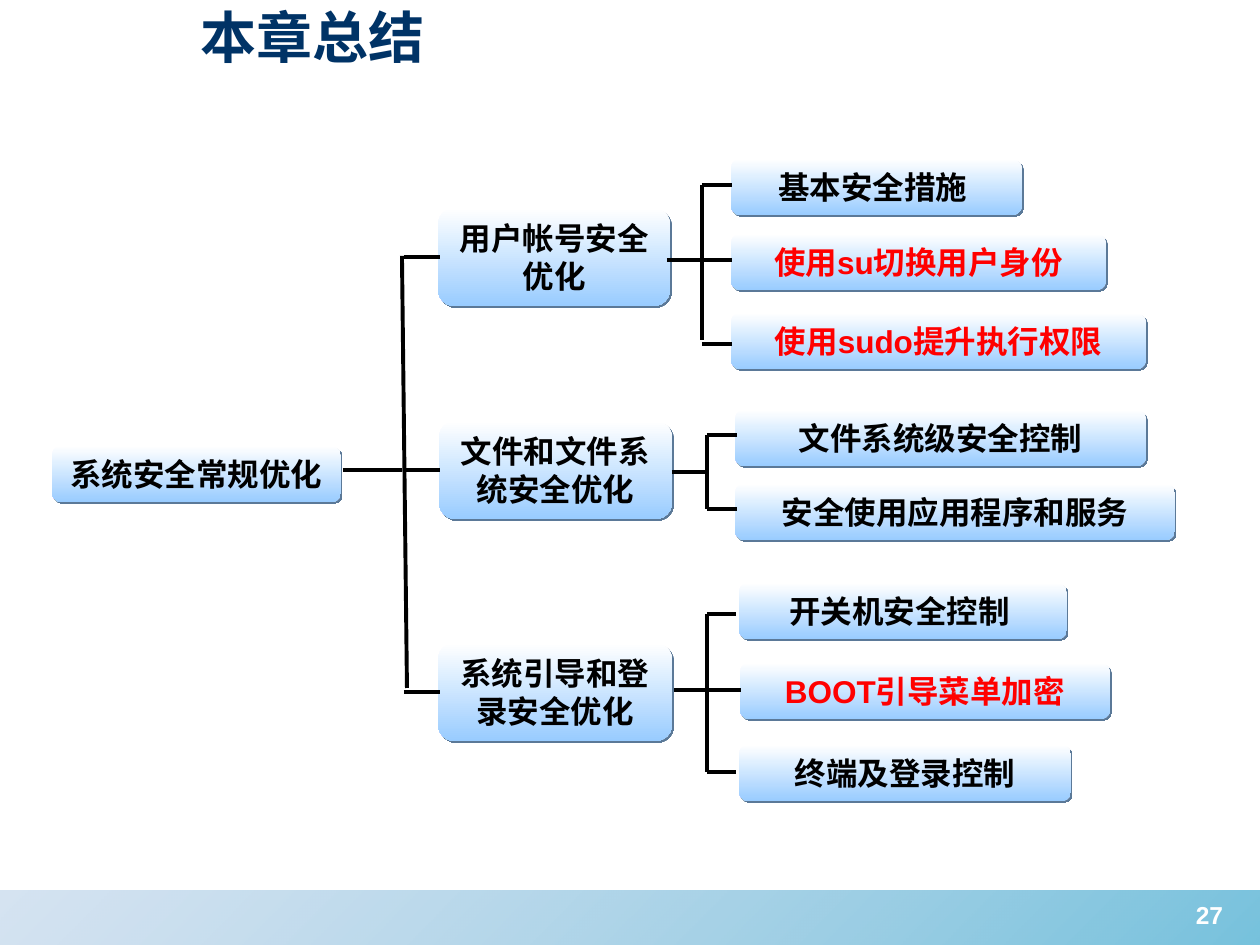
from lxml import etree
from pptx import Presentation
from pptx.dml.color import RGBColor as Rgb
from pptx.enum.shapes import MSO_CONNECTOR as Conn, MSO_SHAPE as Kind
from pptx.enum.text import MSO_ANCHOR as Anchor, PP_ALIGN as Align
from pptx.oxml import parse_xml
from pptx.oxml.ns import nsdecls, qn
from pptx.util import Emu, Pt

SCALE = 914400 / 126
WHITE = Rgb(0xFF, 0xFF, 0xFF)
BLACK = Rgb(0, 0, 0)
RED = Rgb(0xFF, 0, 0)
NAVY = Rgb(0, 0x33, 0x66)
SKY = Rgb(0x99, 0xCC, 0xFF)
SLATE = Rgb(0x5B, 0x79, 0x98)
TEAL = Rgb(0x1C, 0x99, 0xC6)
STEEL = Rgb(0x88, 0xB0, 0xD8)

LOW, TALL = 56, 98
NODES = [
    (52, 446, 289, LOW, "系统安全常规优化", BLACK),
    (438, 208, 232, TALL, "用户帐号安全优化", BLACK),
    (439, 421, 233, TALL, "文件和文件系统安全优化", BLACK),
    (438, 643, 234, TALL, "系统引导和登录安全优化", BLACK),
    (731, 159, 291, LOW, "基本安全措施 ", BLACK),
    (731, 234, 375, LOW, "使用su切换用户身份", RED),
    (731, 313, 415, LOW, "使用sudo提升执行权限", RED),
    (735, 410, 411, LOW, "文件系统级安全控制", BLACK),
    (735, 484, 440, LOW, "安全使用应用程序和服务", BLACK),
    (739, 583, 328, LOW, "开关机安全控制 ", BLACK),
    (740, 663, 370, LOW, "BOOT引导菜单加密", RED),
    (739, 745, 332, LOW, "终端及登录控制", BLACK),
]
FORKS = [
    ((343, 402, 470), (402, 256, 407, 688), (404, 440), (257, 470, 692)),
    ((667, 702, 260), (702, 185, 702, 340), (702, 732), (185, 260, 344)),
    ((672, 707, 472), (707, 435, 707, 509), (707, 737), (435, 509)),
    ((674, 741, 690), (707, 614, 707, 772), (707, 736), (614, 772)),
]


def px(*nums):
    return [Emu(round(n * SCALE)) for n in nums]


def write(shape, text, size=18, color=BLACK, align=Align.CENTER, anchor=Anchor.MIDDLE):
    frame = shape.text_frame
    frame.word_wrap = True
    frame.vertical_anchor = anchor
    para = frame.paragraphs[0]
    para.alignment = align
    run = para.add_run()
    run.text = text
    font = run.font
    font.name, font.size, font.bold = "Arial", Pt(size), True
    font.color.rgb = color


def label(slide, area, text, **style):
    write(slide.shapes.add_textbox(*px(*area)), text, **style)


def block(slide, kind, area, colors, angle, alphas=()):
    shape = slide.shapes.add_shape(kind, *px(*area))
    shape.shadow.inherit = False
    shape.line.fill.background()
    shape.fill.gradient()
    shape.fill.gradient_angle = angle
    for stop, color in zip(shape.fill.gradient_stops, colors):
        stop.color.rgb = color
    tints = shape.fill._xPr.iter(qn("a:srgbClr"))
    for tint, alpha in zip(tints, alphas):
        etree.SubElement(tint, qn("a:alpha"), val=str(alpha * 1000))
    return shape


def node(slide, x, y, wide, high, text, color):
    shape = block(slide, Kind.ROUNDED_RECTANGLE, (x, y, wide, high), (WHITE, SKY), 270)
    shade = parse_xml(
        f'<a:outerShdw {nsdecls("a")} blurRad="0" dist="17780" dir="2700000" '
        f'algn="ctr" rotWithShape="0"><a:srgbClr val="{SLATE}"/></a:outerShdw>')
    shape._element.spPr.find(qn("a:effectLst")).append(shade)
    write(shape, text, color=color)


def line(slide, *ends):
    link = slide.shapes.add_connector(Conn.STRAIGHT, *px(*ends))
    link.line.color.rgb = BLACK
    link.line.width = Pt(2.25)
    etree.SubElement(link._element.spPr, qn("a:effectLst"))


def fork(slide, stem, trunk, span, rows):
    start, end, level = stem
    line(slide, start, level, end, level)
    line(slide, *trunk)
    for row in rows:
        line(slide, span[0], row, span[1], row)


def main():
    deck = Presentation()
    deck.slide_width, deck.slide_height = px(1260, 945)
    slide = deck.slides.add_slide(deck.slide_layouts[6])
    block(slide, Kind.RECTANGLE, (0, 891, 1260, 54), (TEAL, STEEL), 135, (60, 35))
    label(slide, (188, -4, 1017, 81), "本章总结", size=32, color=NAVY, align=Align.LEFT)
    for item in NODES:
        node(slide, *item)
    for item in FORKS:
        fork(slide, *item)
    label(slide, (1164, 894, 91, 66), "27", size=14, color=WHITE, anchor=Anchor.TOP)
    deck.save("out.pptx")


main()
